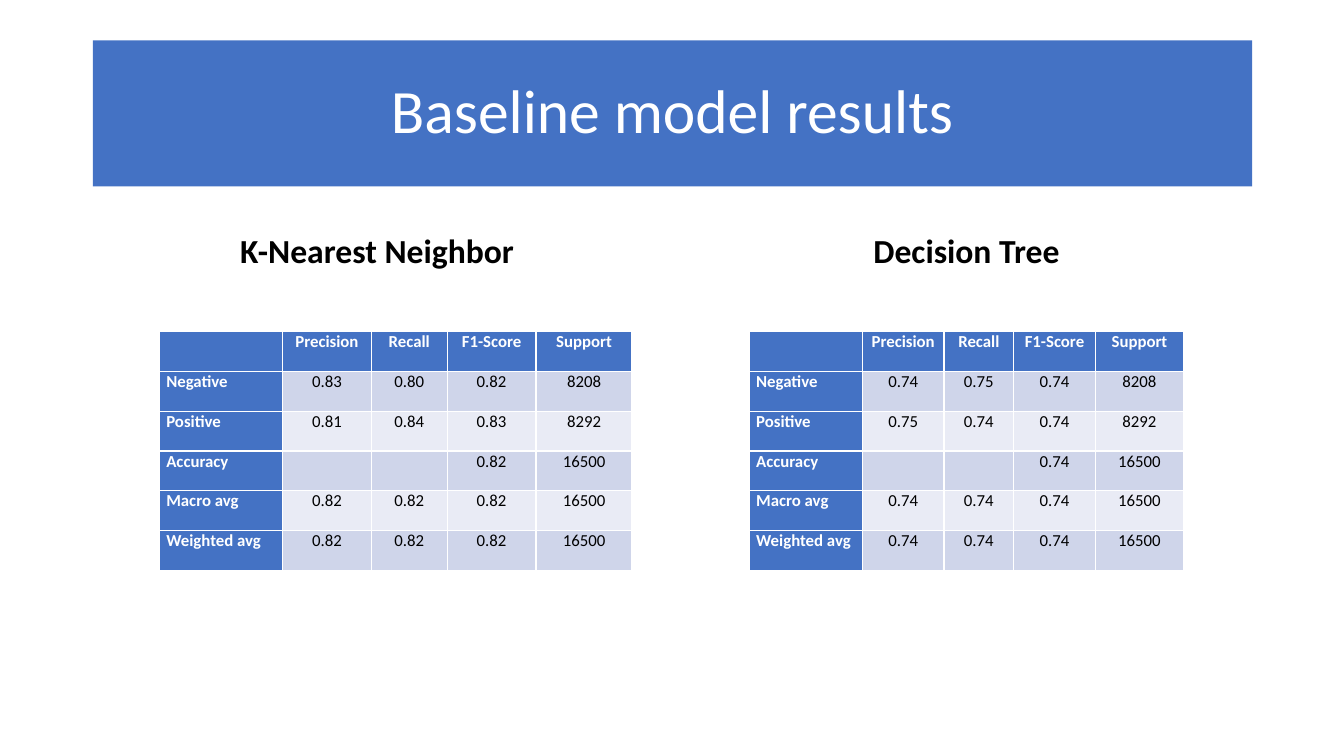
import pptx
import pptx.dml.color
import pptx.enum.text
import pptx.util

Inches = pptx.util.Inches
ALIGN = pptx.enum.text.PP_ALIGN
ANCHOR = pptx.enum.text.MSO_ANCHOR

BLUE, WHITE, BLACK = "4472C4", "FFFFFF", "000000"
BANDS = ("CFD5EA", "E9EBF5")

TITLE_FORMAT = {"name": "Calibri", "size": pptx.util.Pt(44), "bold": False}
HEADING_FORMAT = {"name": "Calibri", "size": pptx.util.Pt(24), "bold": True}
LABEL_FORMAT = {"name": "Calibri", "size": pptx.util.Pt(12), "bold": True}
VALUE_FORMAT = {"name": "Calibri", "size": pptx.util.Pt(12), "bold": False}

COLUMN_WEIGHTS = (1.22, 0.88, 0.75, 0.88, 0.95)
HEADER = ("", "Precision", "Recall", "F1-Score", "Support")
KNN_ROWS = (
    HEADER,
    ("Negative", "0.83", "0.80", "0.82", "8208"),
    ("Positive", "0.81", "0.84", "0.83", "8292"),
    ("Accuracy", "", "", "0.82", "16500"),
    ("Macro avg", "0.82", "0.82", "0.82", "16500"),
    ("Weighted avg", "0.82", "0.82", "0.82", "16500"),
)
TREE_ROWS = (
    HEADER,
    ("Negative", "0.74", "0.75", "0.74", "8208"),
    ("Positive", "0.75", "0.74", "0.74", "8292"),
    ("Accuracy", "", "", "0.74", "16500"),
    ("Macro avg", "0.74", "0.74", "0.74", "16500"),
    ("Weighted avg", "0.74", "0.74", "0.74", "16500"),
)


def color(hex_string):
    return pptx.dml.color.RGBColor.from_string(hex_string)


def paint(item, hex_string):
    item.fill.solid()
    item.fill.fore_color.rgb = color(hex_string)


def write(para, text, font_format, hex_string, align):
    para.alignment = align
    span = para.add_run()
    span.text = text
    for name, value in font_format.items():
        setattr(span.font, name, value)
    span.font.color.rgb = color(hex_string)


def fill_placeholder(shape, box, text, font_format, hex_string, anchor):
    shape.left, shape.top, shape.width, shape.height = map(Inches, box)
    frame = shape.text_frame
    frame.word_wrap = True
    frame.auto_size = pptx.enum.text.MSO_AUTO_SIZE.NONE
    frame.vertical_anchor = anchor
    para = frame.paragraphs[0]
    para.line_spacing = 0.9
    para.space_before = pptx.util.Pt(0)
    write(para, text, font_format, hex_string, ALIGN.CENTER)


def add_title(page, box):
    title = page.shapes.title
    paint(title, BLUE)
    fill_placeholder(title, box, "Baseline model results",
                     TITLE_FORMAT, WHITE, ANCHOR.MIDDLE)


def add_score_table(page, box, rows):
    left, top, width, height = box
    table = page.shapes.add_table(
        len(rows), len(HEADER), *map(Inches, box)).table
    table.first_col = True
    for column, weight in zip(table.columns, COLUMN_WEIGHTS):
        column.width = Inches(width * weight / sum(COLUMN_WEIGHTS))

    for row_number, row in enumerate(rows):
        for column_number, text in enumerate(row):
            cell = table.cell(row_number, column_number)
            is_label = row_number == 0 or column_number == 0
            paint(cell, BLUE if is_label else BANDS[(row_number - 1) % 2])
            cell.margin_left = cell.margin_right = Inches(0.07)
            cell.margin_top = cell.margin_bottom = 0
            if text:
                write(cell.text_frame.paragraphs[0], text,
                      LABEL_FORMAT if is_label else VALUE_FORMAT,
                      WHITE if is_label else BLACK,
                      ALIGN.CENTER if column_number else ALIGN.LEFT)


def add_model(page, heading, heading_box, text, table_box, rows):
    fill_placeholder(heading, heading_box, text,
                     HEADING_FORMAT, BLACK, ANCHOR.BOTTOM)
    add_score_table(page, table_box, rows)


def main():
    deck = pptx.Presentation()
    deck.slide_width, deck.slide_height = Inches(13.33), Inches(7.5)
    page = deck.slides.add_slide(deck.slide_layouts[4])
    parts = {part.placeholder_format.idx: part for part in page.placeholders}

    # Title banner
    add_title(page, (0.92, 0.4, 11.5, 1.45))

    # One heading and score table per model
    add_model(page, parts[1], (0.92, 1.84, 5.64, 0.9), "K-Nearest Neighbor",
              (1.58, 3.29, 4.69, 2.37), KNN_ROWS)
    add_model(page, parts[3], (6.75, 1.84, 5.67, 0.9), "Decision Tree",
              (7.43, 3.29, 4.31, 2.37), TREE_ROWS)

    # Unused content placeholders
    for index in (2, 4):
        element = parts[index].element
        element.getparent().remove(element)

    deck.save("out.pptx")


if __name__ == "__main__":
    main()
